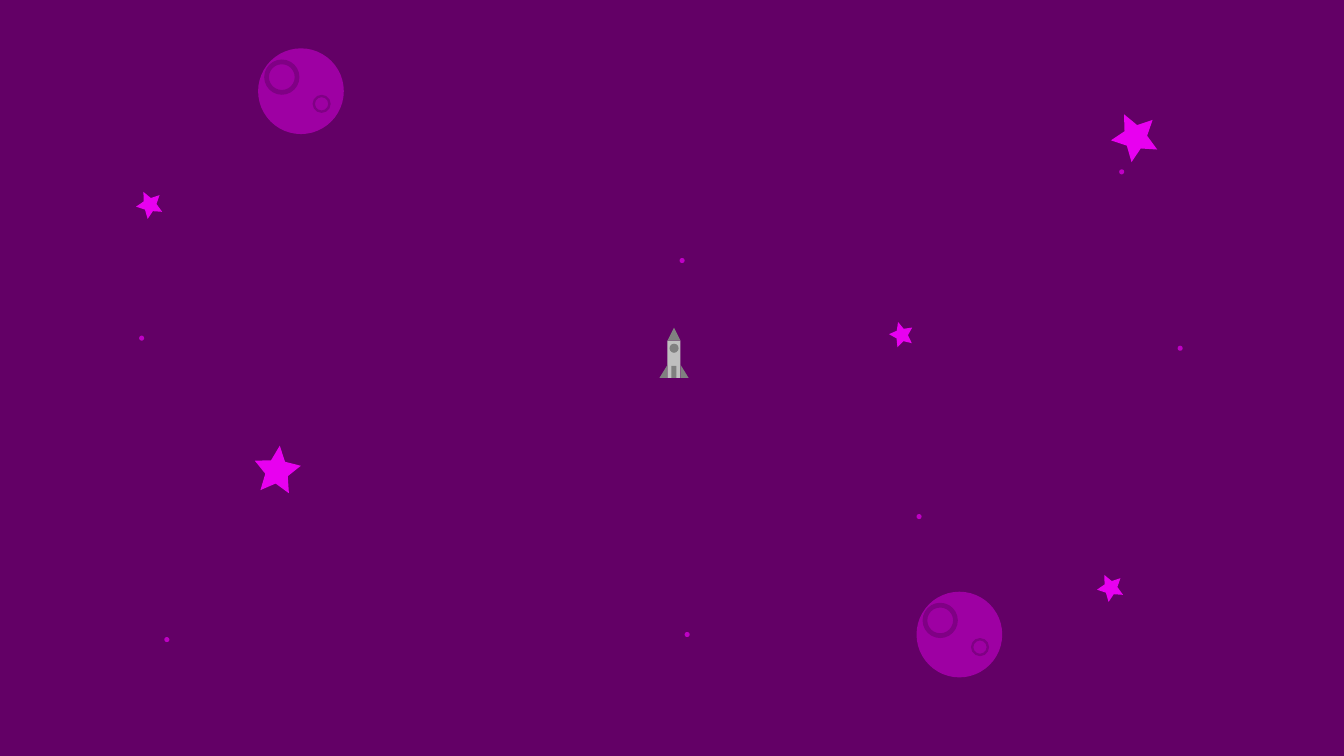
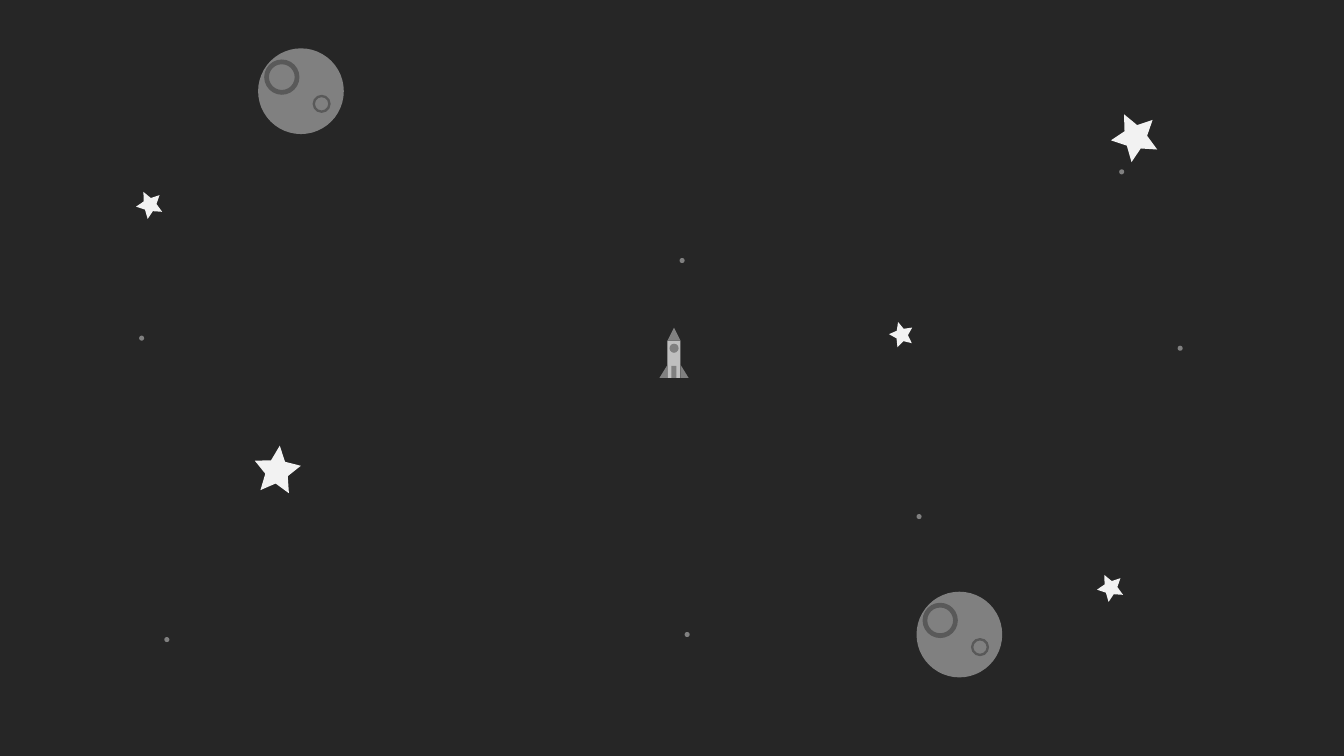
from dataclasses import dataclass

from pptx import Presentation
from pptx.dml.color import RGBColor
from pptx.enum.shapes import MSO_SHAPE
from pptx.util import Inches

SLIDE_WIDTH, SLIDE_HEIGHT = 13.33, 7.5
DOT_SIZE = 0.05
MOON_SIZE = 0.85
STAR_POINT = 0.244
CRATER_RING = 0.135

MOONS = [(2.56, 0.48), (9.09, 5.87)]
CRATERS = [(0.06, 0.11, 0.35), (0.54, 0.46, 0.18)]
DOTS = [(6.74, 2.56), (9.09, 5.1), (1.63, 6.32), (11.1, 1.68),
        (1.38, 3.33), (6.79, 6.27), (11.68, 3.43)]
STARS = [(8.82, 3.19, 0.24, 344.2), (2.52, 4.42, 0.46, 6.3),
         (11.02, 1.11, 0.46, 333.9), (10.88, 5.69, 0.26, 333.9),
         (1.35, 1.89, 0.26, 333.9)]


@dataclass(frozen=True)
class Theme:
    """Colours of one night sky."""
    sky: str
    moon: str
    crater: str
    dot: str
    star: str
    rocket_body: str = "BFBFBF"
    rocket_trim: str = "808080"


THEMES = [
    Theme(sky="630066", moon="9E00A3", crater="800085", dot="BF00C5", star="E800F0"),
    Theme(sky="262626", moon="808080", crater="595959", dot="808080", star="F2F2F2"),
]


def add_figure(shapes, kind, left, top, width, height, colour, adjustment=None, rotation=0):
    """Add a flat preset shape without outline or shadow."""
    figure = shapes.add_shape(kind, Inches(left), Inches(top), Inches(width), Inches(height))
    figure.shadow.inherit = False
    figure.fill.solid()
    figure.fill.fore_color.rgb = RGBColor.from_string(colour)
    figure.line.fill.background()
    figure.rotation = rotation
    if adjustment is not None:
        figure.adjustments[0] = adjustment


def add_moon(page, theme, left, top):
    """Add a moon with its craters as one group."""
    shapes = page.shapes.add_group_shape().shapes
    add_figure(shapes, MSO_SHAPE.OVAL, left, top, MOON_SIZE, MOON_SIZE, theme.moon)
    for across, down, size in CRATERS:
        add_figure(shapes, MSO_SHAPE.DONUT, left + across, top + down, size, size,
                   theme.crater, CRATER_RING)


def add_dots(page, theme):
    """Add the distant dots as one group."""
    shapes = page.shapes.add_group_shape().shapes
    for left, top in DOTS:
        add_figure(shapes, MSO_SHAPE.OVAL, left, top, DOT_SIZE, DOT_SIZE, theme.dot)


def add_stars(page, theme):
    """Add the tilted stars as one group."""
    shapes = page.shapes.add_group_shape().shapes
    for left, top, size, rotation in STARS:
        add_figure(shapes, MSO_SHAPE.STAR_5_POINT, left, top, size, size,
                   theme.star, STAR_POINT, rotation)


def add_rocket(page, theme):
    """Add the rocket as one group."""
    shapes = page.shapes.add_group_shape().shapes
    trim = theme.rocket_trim
    triangle = MSO_SHAPE.ISOSCELES_TRIANGLE
    add_figure(shapes, MSO_SHAPE.RECTANGLE, 6.62, 3.38, 0.13, 0.37, theme.rocket_body)
    add_figure(shapes, triangle, 6.62, 3.25, 0.13, 0.13, trim)
    for left, apex in [(6.54, 1), (6.75, 0)]:
        add_figure(shapes, triangle, left, 3.62, 0.08, 0.13, trim, apex)
    add_figure(shapes, MSO_SHAPE.OVAL, 6.64, 3.41, 0.09, 0.09, trim)
    add_figure(shapes, MSO_SHAPE.RECTANGLE, 6.66, 3.63, 0.05, 0.12, trim)


def add_sky(deck, theme):
    """Add a slide with the night sky in the given colours."""
    page = deck.slides.add_slide(deck.slide_layouts[6])
    add_figure(page.shapes, MSO_SHAPE.RECTANGLE, 0, 0, SLIDE_WIDTH, SLIDE_HEIGHT, theme.sky)
    for left, top in MOONS:
        add_moon(page, theme, left, top)
    add_dots(page, theme)
    add_stars(page, theme)
    add_rocket(page, theme)


def main():
    """Build the deck and save it."""
    deck = Presentation()
    deck.slide_width = Inches(SLIDE_WIDTH)
    deck.slide_height = Inches(SLIDE_HEIGHT)
    for theme in THEMES:
        add_sky(deck, theme)
    deck.save("out.pptx")


if __name__ == "__main__":
    main()
